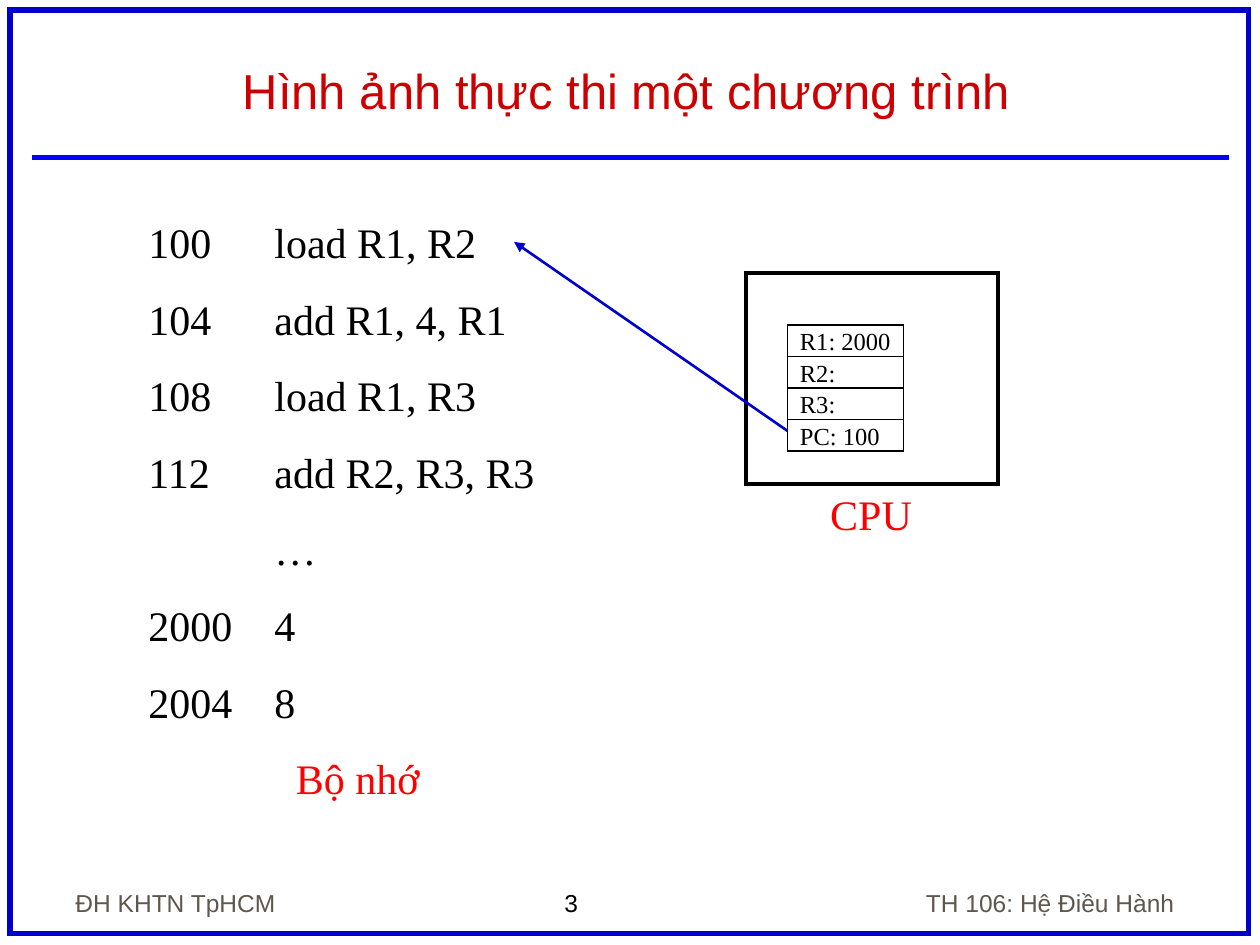
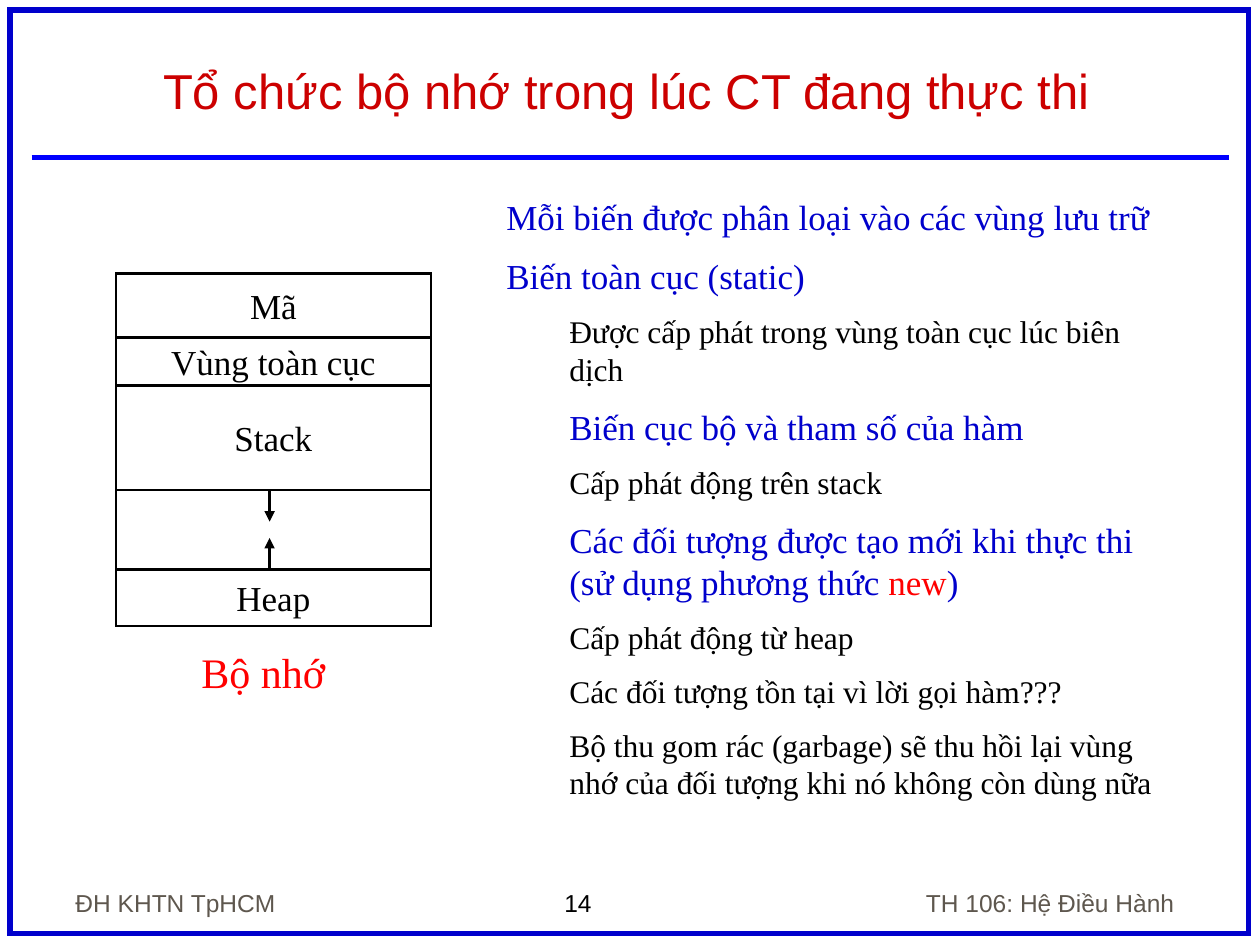
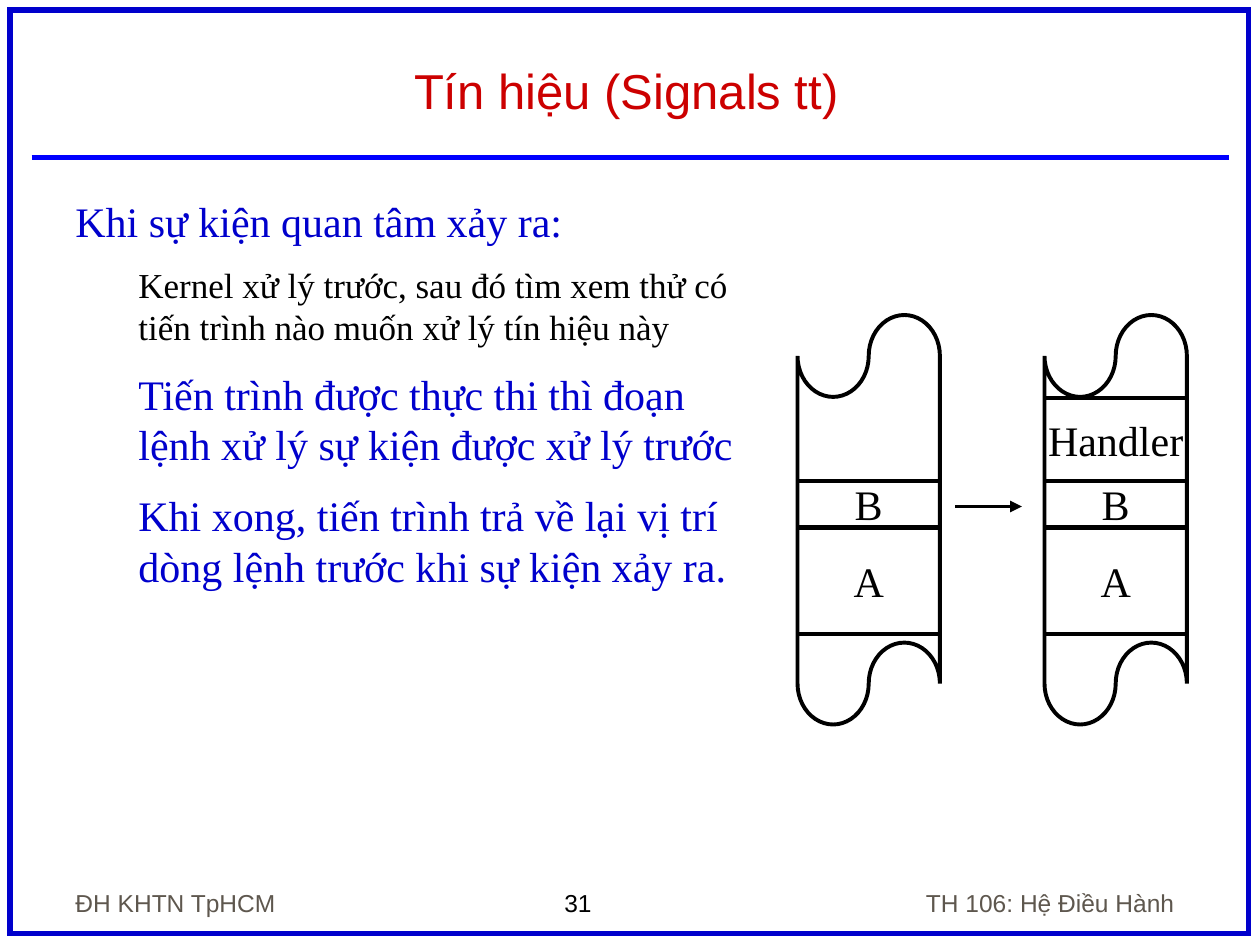
from dataclasses import dataclass

from lxml import etree
from pptx import Presentation
from pptx.dml.color import RGBColor
from pptx.enum.shapes import MSO_CONNECTOR, MSO_SHAPE
from pptx.enum.text import MSO_ANCHOR, MSO_AUTO_SIZE, PP_ALIGN
from pptx.oxml.ns import qn
from pptx.util import Inches, Pt

# Shared style
BLACK = RGBColor(0x00, 0x00, 0x00)
NAVY = RGBColor(0x00, 0x00, 0xCC)
BLUE = RGBColor(0x00, 0x00, 0xFF)
RED = RGBColor(0xFF, 0x00, 0x00)
BRICK = RGBColor(0xCC, 0x00, 0x00)
GRAY = RGBColor(0x5E, 0x57, 0x4E)
SANS = "Arial"
SERIF = "Times New Roman"

LEFT, CENTER, RIGHT = PP_ALIGN.LEFT, PP_ALIGN.CENTER, PP_ALIGN.RIGHT
TOP, MIDDLE, BOTTOM = MSO_ANCHOR.TOP, MSO_ANCHOR.MIDDLE, MSO_ANCHOR.BOTTOM
FIXED = MSO_AUTO_SIZE.NONE
RECT, TAPE = MSO_SHAPE.RECTANGLE, MSO_SHAPE.FLOWCHART_PUNCHED_TAPE
STRAIGHT = MSO_CONNECTOR.STRAIGHT


@dataclass
class Box:
    left: float
    top: float
    width: float
    height: float

    def place(self) -> list:
        return [Inches(v) for v in (self.left, self.top, self.width, self.height)]


@dataclass
class Para:
    text: str
    size: float = 24
    color: RGBColor = BLACK
    indent: float = 0
    gap: float = 0
    hot: str = ""
    font: str = SERIF
    align: int = LEFT
    tab: float = 0


@dataclass
class Cell:
    text: str
    top: float
    height: float


# Drawing helpers
def write(frame, paras: list[Para], anchor=TOP, wrap: bool = True) -> None:
    frame.auto_size = FIXED
    frame.word_wrap = wrap
    frame.vertical_anchor = anchor
    for i, item in enumerate(paras):
        para = frame.paragraphs[0] if i == 0 else frame.add_paragraph()
        para.alignment = item.align
        para.space_before = Pt(item.gap)
        props = para._p.get_or_add_pPr()
        if item.indent:
            props.set("marL", str(Inches(item.indent)))
            props.set("indent", "0")
        if item.tab:
            stops = etree.SubElement(props, qn("a:tabLst"))
            etree.SubElement(stops, qn("a:tab"), pos=str(Inches(item.tab)), algn="l")
        parts = item.text.partition(item.hot) if item.hot else (item.text,)
        for part in parts:
            run = para.add_run()
            run.text = part
            run.font.name = item.font
            run.font.size = Pt(item.size)
            run.font.color.rgb = RED if part == item.hot else item.color


def add_text(slide, box: Box, paras: list[Para], anchor=TOP, wrap: bool = True) -> None:
    write(slide.shapes.add_textbox(*box.place()).text_frame, paras, anchor, wrap)


def add_label(slide, box: Box, text: str) -> None:
    add_text(slide, box, [Para(text, color=RED)], wrap=False)


def add_box(slide, box: Box, weight: float, color: RGBColor = BLACK, kind=RECT,
            label: Para | None = None) -> None:
    shape = slide.shapes.add_shape(kind, *box.place())
    shape.shadow.inherit = False
    shape.fill.background()
    shape.line.color.rgb = color
    shape.line.width = Pt(weight)
    # Square corners
    etree.SubElement(shape.line._get_or_add_ln(), qn("a:miter"), lim="800000")
    if label:
        write(shape.text_frame, [label], MIDDLE, False)


def add_stack(slide, left: float, width: float, cells: list[Cell], weight: float,
              size: float, align=CENTER) -> None:
    for cell in cells:
        label = Para(cell.text, size, align=align) if cell.text else None
        add_box(slide, Box(left, cell.top, width, cell.height), weight, label=label)


def add_line(slide, start: tuple[float, float], end: tuple[float, float],
             weight: float, color: RGBColor = BLACK, arrow: bool = True) -> None:
    ends = [Inches(v) for v in (*start, *end)]
    line = slide.shapes.add_connector(STRAIGHT, *ends)
    line.line.color.rgb = color
    line.line.width = Pt(weight)
    if arrow:
        etree.SubElement(line.line._get_or_add_ln(), qn("a:tailEnd"), type="triangle")
    etree.SubElement(line._element.spPr, qn("a:effectLst"))


def add_slide(deck, title: str, number: int):
    slide = deck.slides.add_slide(deck.slide_layouts.get_by_name("Title Only"))
    # Frame and rule
    add_box(slide, Box(0.08, 0.08, 9.83, 7.33), 3, NAVY)
    add_line(slide, (0.25, 1.25), (9.75, 1.25), 3, BLUE, arrow=False)
    # Title
    head = slide.shapes.title
    head.left, head.top, head.width, head.height = Box(0.44, 0.25, 9.06, 0.75).place()
    write(head.text_frame, [Para(title, 28, BRICK, font=SANS, align=CENTER)], BOTTOM)
    # Footer
    add_text(slide, Box(4.38, 7, 1.09, 0.34), [Para(str(number), 14, font=SANS)])
    add_text(slide, Box(0.5, 6.83, 2.08, 0.5),
             [Para("ĐH KHTN TpHCM", 14, GRAY, gap=8.8, font=SANS)], BOTTOM)
    add_text(slide, Box(6.67, 6.83, 2.75, 0.5),
             [Para("TH 106: Hệ Điều Hành", 14, GRAY, gap=8.8, font=SANS, align=RIGHT)],
             BOTTOM)
    return slide


def point(text: str, size: float, indent: float = 0.5, hot: str = "") -> Para:
    return Para(text, size, NAVY, indent, size / 2, hot)


def detail(text: str, size: float) -> Para:
    return Para(text, size, BLACK, 0.5, size / 2)


# Slides
def show_run(deck) -> None:
    slide = add_slide(deck, "Hình ảnh thực thi một chương trình", 3)
    # Memory
    rows = ["100\tload R1, R2", "104\tadd R1, 4, R1", "108\tload R1, R3",
            "112\tadd R2, R3, R3", "\t…", "2000\t4", "2004\t8"]
    add_text(slide, Box(1.08, 1.67, 3.75, 4.15),
             [Para(row, gap=15, tab=1) for row in rows])
    add_label(slide, Box(2.25, 5.92, 1.18, 0.5), "Bộ nhớ")
    # Processor
    add_box(slide, Box(5.92, 2.17, 2, 1.67), 2.25)
    names = ["R1: 2000", "R2:", "R3:", "PC: 100"]
    cells = [Cell(name, 2.58 + 0.25 * i, 0.25) for i, name in enumerate(names)]
    add_stack(slide, 6.25, 0.92, cells, 0.75, 14, LEFT)
    add_label(slide, Box(6.49, 3.83, 0.85, 0.5), "CPU")
    add_line(slide, (6.25, 3.42), (4.08, 1.92), 1.5, NAVY)


def show_memory(deck) -> None:
    slide = add_slide(deck, "Tổ chức bộ nhớ trong lúc CT đang thực thi", 14)
    add_text(slide, Box(3.92, 1.5, 5.53, 5.13), [
        point("Mỗi biến được phân loại vào các vùng lưu trữ", 20, 0),
        point("Biến toàn cục (static)", 20, 0),
        detail("Được cấp phát trong vùng toàn cục lúc biên dịch", 18),
        point("Biến cục bộ và tham số của hàm", 20),
        detail("Cấp phát động trên stack", 18),
        point("Các đối tượng được tạo mới khi thực thi (sử dụng phương thức new)",
              20, hot="new"),
        detail("Cấp phát động từ heap", 18),
        detail("Các đối tượng tồn tại vì lời gọi hàm???", 18),
        detail("Bộ thu gom rác (garbage) sẽ thu hồi lại vùng nhớ của đối tượng "
               "khi nó không còn dùng nữa", 18),
    ])
    # Memory map
    cells = [Cell("Mã", 2.17, 0.51), Cell("Vùng toàn cục", 2.68, 0.38),
             Cell("Stack", 3.06, 0.83), Cell("", 3.89, 0.63), Cell("Heap", 4.52, 0.45)]
    add_stack(slide, 0.92, 2.5, cells, 1.5, 20)
    for start, end in ((3.89, 4.14), (4.52, 4.27)):
        add_line(slide, (2.14, start), (2.14, end), 1.5)
    add_label(slide, Box(1.5, 5.08, 1.18, 0.5), "Bộ nhớ")


def show_signal(deck) -> None:
    slide = add_slide(deck, "Tín hiệu (Signals tt)", 31)
    add_text(slide, Box(0.5, 1.5, 5.42, 5.13), [
        point("Khi sự kiện quan tâm xảy ra:", 24, 0),
        detail("Kernel xử lý trước, sau đó tìm xem thử có tiến trình nào muốn "
               "xử lý tín hiệu này", 20),
        point("Tiến trình được thực thi thì đoạn lệnh xử lý sự kiện được xử lý trước", 24),
        point("Khi xong, tiến trình trả về lại vị trí dòng lệnh trước khi "
              "sự kiện xảy ra.", 24),
    ])
    # Code before and after the signal
    before = [Cell("A", 4.19, 0.84), Cell("B", 3.82, 0.36)]
    after = before + [Cell("Handler", 3.16, 0.66)]
    for left, cells in ((6.33, before), (8.29, after)):
        add_box(slide, Box(left, 2.5, 1.13, 3.25), 2.25, kind=TAPE)
        add_stack(slide, left, 1.13, cells, 2.25, 24)
    add_line(slide, (7.58, 4.02), (8.11, 4.02), 2.25)


def main() -> None:
    deck = Presentation()
    deck.slide_width, deck.slide_height = Inches(10), Inches(7.5)
    show_run(deck)
    show_memory(deck)
    show_signal(deck)
    deck.save("out.pptx")


if __name__ == "__main__":
    main()
